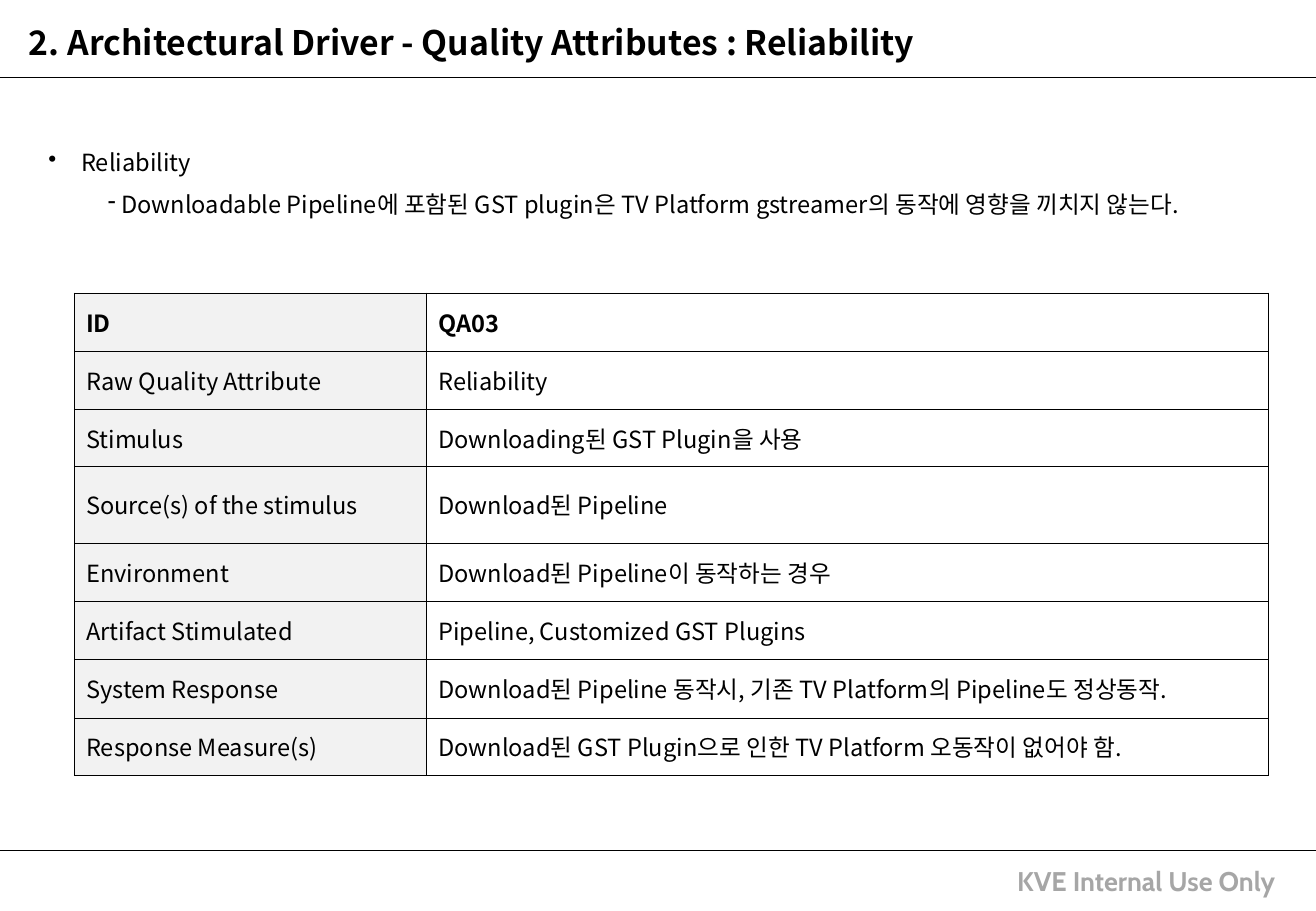
from lxml import etree
from pptx import Presentation
from pptx import util as u
from pptx.dml.color import RGBColor
from pptx.enum import shapes, text
from pptx.oxml import parse_xml
from pptx.oxml.ns import nsdecls, qn

PX = 9144  # 100 px to the inch
W, H = 1084, 750
SANS, FOOTER_FONT = "Noto Sans CJK KR", "Cabin"
COLORS = {"ink": "000000", "label": "F2F2F2", "value": "FFFFFF", "footer": "A6A6A6"}
ROW_HEIGHTS = [48, 48, 47, 63, 48, 48, 48, 47]
COLUMN_WIDTHS = [290, 694]
SCENARIO = [
    ("ID", "QA03"),
    ("Raw Quality Attribute", "Reliability"),
    ("Stimulus", "Downloading된 GST Plugin을 사용"),
    ("Source(s) of the stimulus", "Download된 Pipeline"),
    ("Environment", "Download된 Pipeline이 동작하는 경우"),
    ("Artifact Stimulated", "Pipeline, Customized GST Plugins"),
    ("System Response", "Download된 Pipeline 동작시, 기존 TV Platform의 Pipeline도 정상동작."),
    ("Response Measure(s)", "Download된 GST Plugin으로 인한 TV Platform 오동작이 없어야 함."),
]


def px(n):
    return u.Emu(n * PX)


def rgb(name):
    return RGBColor.from_string(COLORS[name])


def write(p, words, size=14, font=SANS, color="ink", bold=False):
    r = p.add_run()
    r.text = words
    r.font.size, r.font.name, r.font.bold = u.Pt(size), font, bold
    r.font.color.rgb = rgb(color)
    ea = etree.SubElement(r.font._element, qn("a:ea"))
    ea.set("typeface", font)


def add_box(s, x, y, w, h):
    tf = s.shapes.add_textbox(px(x), px(y), px(w), px(h)).text_frame
    tf.word_wrap = True
    tf.auto_size = text.MSO_AUTO_SIZE.SHAPE_TO_FIT_TEXT
    return tf


def add_rule(s, y):
    """Draw a thin line across the whole slide."""
    line = s.shapes.add_connector(shapes.MSO_CONNECTOR.STRAIGHT, 0, px(y), px(W), px(y))
    line.line.color.rgb = rgb("ink")
    line.line.width = u.Pt(0.75)
    etree.SubElement(line._element.spPr, qn("a:effectLst"))


def add_bullet(p, words, char, left, hang, level=0):
    """Write a bulleted line whose text starts at left, hang px after its bullet."""
    p.level = level
    p.line_spacing = 1.5
    pPr = p._p.get_or_add_pPr()
    pPr.set("marL", str(left * PX))
    pPr.set("indent", str(-hang * PX))
    etree.SubElement(pPr, qn("a:buChar")).set("char", char)
    write(p, words)


def add_borders(cell):
    tcPr = cell._tc.get_or_add_tcPr()
    for side in "LRTB":
        tcPr.append(parse_xml(
            f'<a:ln{side} {nsdecls("a")} w="{u.Pt(0.23)}"><a:solidFill>'
            f'<a:srgbClr val="{COLORS["ink"]}"/></a:solidFill></a:ln{side}>'))


def add_scenario_table(s, x, y):
    frame = s.shapes.add_table(len(SCENARIO), len(COLUMN_WIDTHS), px(x), px(y),
                               px(sum(COLUMN_WIDTHS)), px(sum(ROW_HEIGHTS)))
    table = frame.table
    for column, width in zip(table.columns, COLUMN_WIDTHS):
        column.width = px(width)
    for i, (row, height) in enumerate(zip(table.rows, ROW_HEIGHTS)):
        row.height = px(height)
        for cell, words, fill in zip(row.cells, SCENARIO[i], ("label", "value")):
            add_borders(cell)
            cell.fill.solid()
            cell.fill.fore_color.rgb = rgb(fill)
            cell.vertical_anchor = text.MSO_ANCHOR.MIDDLE
            write(cell.text_frame.paragraphs[0], words, bold=i == 0)


def main():
    prs = Presentation()
    prs.slide_width, prs.slide_height = px(W), px(H)
    s = prs.slides.add_slide(prs.slide_layouts[6])

    for y in (700, 64):
        add_rule(s, y)
    footer = add_box(s, 828, 707, 261, 37)
    write(footer.paragraphs[0], "KVE Internal Use Only", size=16,
          font=FOOTER_FONT, color="footer", bold=True)
    title = add_box(s, 14, 13, 1032, 44)
    write(title.paragraphs[0], "2. Architectural Driver - Quality Attributes : Reliability",
          size=20, bold=True)

    add_scenario_table(s, 61, 241)

    tf = add_box(s, 30, 105, 1032, 80)
    add_bullet(tf.paragraphs[0], "Reliability", "•", left=27, hang=27)
    add_bullet(tf.add_paragraph(),
               "Downloadable Pipeline에 포함된 GST plugin은 TV Platform gstreamer의 "
               "동작에 영향을 끼치지 않는다.", "-", left=60, hang=11, level=1)
    prs.save("out.pptx")


if __name__ == "__main__":
    main()
